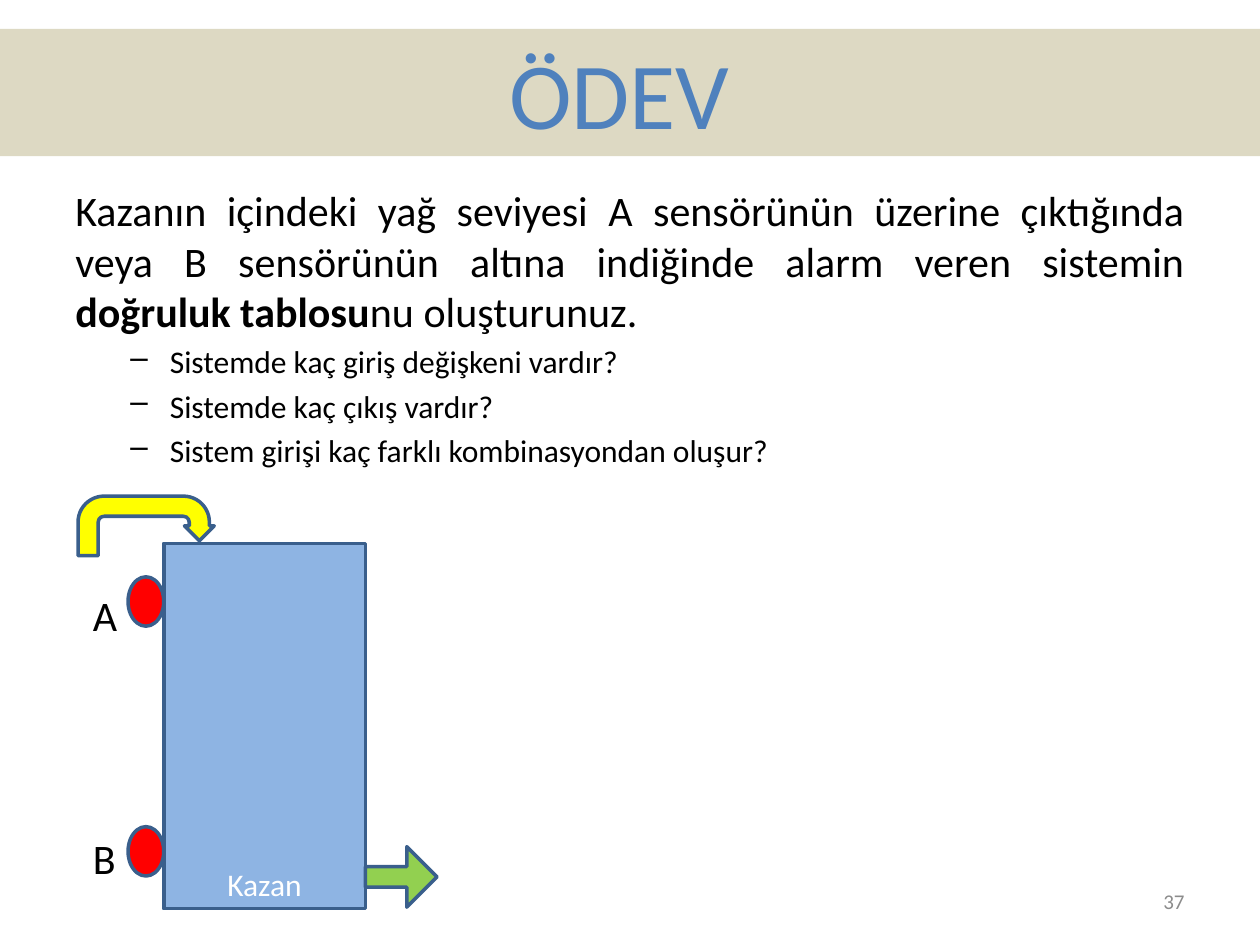
"""Build the homework slide about the boiler alarm."""
import pptx
import pptx.util
import pptx.dml.color
import pptx.enum.shapes
import pptx.enum.text
import pptx.oxml.ns
import lxml.etree

Pt = pptx.util.Pt
RGB = pptx.dml.color.RGBColor
Kind = pptx.enum.shapes.MSO_SHAPE
Side = pptx.enum.text.PP_ALIGN
Hold = pptx.enum.text.MSO_ANCHOR

BLACK = RGB(0, 0, 0)
WHITE = RGB(255, 255, 255)
GRAY = RGB(0x8C, 0x8C, 0x8C)
SAND = RGB(0xDD, 0xD9, 0xC3)
BLUE = RGB(0x4F, 0x81, 0xBD)
SKY = RGB(0x8E, 0xB4, 0xE3)
NAVY = RGB(0x3A, 0x5F, 0x8C)
RED = RGB(255, 0, 0)
GREEN = RGB(0x92, 0xD0, 0x50)
YELLOW = RGB(255, 255, 0)

deck = pptx.Presentation()
deck.slide_width, deck.slide_height = Pt(720), Pt(540)
slide = deck.slides.add_slide(deck.slide_layouts[6])


def draw(kind, box, fill, edge=NAVY, bends=()):
    shape = slide.shapes.add_shape(kind, *map(Pt, box))
    shape.shadow.inherit = False
    shape.fill.solid()
    shape.fill.fore_color.rgb = fill
    if edge is None:
        shape.line.fill.background()
    else:
        shape.line.color.rgb = edge
        shape.line.width = Pt(2)
    for i, bend in enumerate(bends):
        shape.adjustments[i] = bend
    return shape


def write(para, parts, size, tint, align):
    para.alignment = align
    for text, bold in parts:
        run = para.add_run()
        run.text = text
        run.font.color.rgb = tint
        form = {"name": "Calibri", "size": Pt(size), "bold": bold}
        for key, value in form.items():
            setattr(run.font, key, value)


band = draw(Kind.RECTANGLE, (0, 16.5, 720, 72.7), SAND, None)
band.text_frame.vertical_anchor = Hold.TOP
write(band.text_frame.paragraphs[0], [("ÖDEV ", False)], 54, BLUE, Side.CENTER)

body = slide.shapes.add_textbox(Pt(36), Pt(102.2), Pt(648), Pt(380)).text_frame
body.word_wrap = True
task = [
    ("Kazanın içindeki yağ seviyesi A sensörünün üzerine çıktığında "
     "veya B sensörünün altına indiğinde alarm veren sistemin ", False),
    ("doğruluk tablosu", True),
    ("nu oluşturunuz.", False),
]
write(body.paragraphs[0], task, 24, BLACK, Side.JUSTIFY)
for ask in (
    "Sistemde kaç giriş değişkeni vardır?",
    "Sistemde kaç çıkış vardır?",
    "Sistem girişi kaç farklı kombinasyondan oluşur?",
):
    para = body.add_paragraph()
    para.level = 1
    para.space_before = Pt(3.6)
    props = para._p.get_or_add_pPr()
    props.set("marL", str(Pt(54)))
    props.set("indent", str(Pt(-22.5)))
    mark = lxml.etree.SubElement(props, pptx.oxml.ns.qn("a:buChar"))
    mark.set("char", "–")
    write(para, [(ask, False)], 18, BLACK, Side.JUSTIFY)

tank = draw(Kind.RECTANGLE, (93.6, 310.5, 115.2, 208.8), SKY)
tank.text_frame.vertical_anchor = Hold.BOTTOM
write(tank.text_frame.paragraphs[0], [("Kazan", False)], 18, WHITE, Side.CENTER)

for top in (329.6, 472.4):
    draw(Kind.OVAL, (73.2, top, 20.4, 28.2), RED)
draw(Kind.RIGHT_ARROW, (208.8, 483.8, 41, 34.6), GREEN, bends=(0.337, 0.5))
draw(Kind.U_TURN_ARROW, (44.6, 283.5, 77.8, 34), YELLOW,
     bends=(0.339, 0.25, 0.25, 0.438, 0.75))

for text, box, size, tint, align, hold in (
    ("B", (46, 472.4, 28.8, 36), 24, BLACK, Side.LEFT, Hold.TOP),
    ("A", (46, 333.4, 28.8, 36), 24, BLACK, Side.LEFT, Hold.TOP),
    ("37", (516, 500.5, 168, 28.8), 12, GRAY, Side.RIGHT, Hold.MIDDLE),
):
    frame = slide.shapes.add_textbox(*map(Pt, box)).text_frame
    frame.word_wrap = True
    frame.vertical_anchor = hold
    write(frame.paragraphs[0], [(text, False)], size, tint, align)

deck.save("out.pptx")
